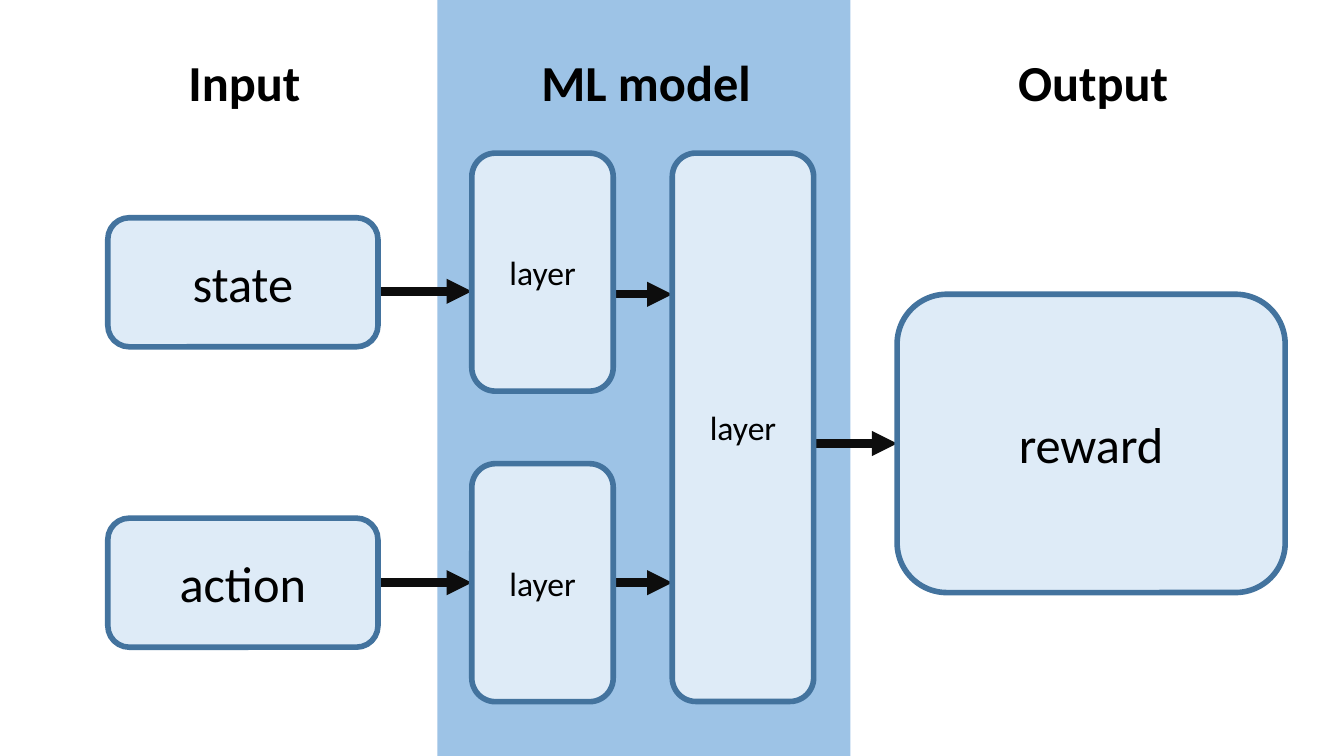
from dataclasses import dataclass
from lxml import etree
from pptx import Presentation
from pptx.dml.color import RGBColor
from pptx.enum.shapes import MSO_CONNECTOR, MSO_SHAPE
from pptx.enum.text import MSO_ANCHOR, PP_ALIGN
from pptx.oxml.ns import qn
from pptx.util import Pt

RECT, ROUNDED = MSO_SHAPE.RECTANGLE, MSO_SHAPE.ROUNDED_RECTANGLE
STRAIGHT = MSO_CONNECTOR.STRAIGHT
CENTER, MIDDLE = PP_ALIGN.CENTER, MSO_ANCHOR.MIDDLE


@dataclass(frozen=True)
class Theme:
    font: str = "Calibri"
    text: RGBColor = RGBColor(0, 0, 0)
    band: RGBColor = RGBColor(0x9D, 0xC3, 0xE6)
    node: RGBColor = RGBColor(0xDE, 0xEB, 0xF7)
    border: RGBColor = RGBColor(0x43, 0x73, 0x9E)
    arrow: RGBColor = RGBColor(0x0D, 0x0D, 0x0D)
    large: int = 36
    small: int = 24
    border_width: int = 4
    arrow_width: int = 6


theme = Theme()
SLIDE_WIDTH, SLIDE_HEIGHT = 960, 540
BAND_LEFT, BAND_WIDTH = 312.5, 295
HEADING_TOP, HEADING_HEIGHT = 32.4, 51.1
ARROW_LENGTH = 69

headings = [("Input", 174.6, 95.8), ("Output", 780.8, 123.1), ("ML model", 461.5, 165.6)]

columns = {
    "merged": dict(left=480.2, width=101, height=391.7, size=theme.small,
                   nodes=[("layer", 109.4)], arrows=[416.2, 210.2]),
    "output": dict(left=640.8, width=277.2, height=213.1, size=theme.large,
                   nodes=[("reward", 210.2)], arrows=[316.8]),
    "branches": dict(left=337, width=101, height=170, size=theme.small,
                     nodes=[("layer", 109.4), ("layer", 331.2)], arrows=[208.1, 416.2]),
    "inputs": dict(left=77, width=193, height=92.2, size=theme.large,
                   nodes=[("state", 155.5), ("action", 370.1)], arrows=[]),
}


def write(frame, words, size, bold=False):
    frame.vertical_anchor = MIDDLE
    paragraph = frame.paragraphs[0]
    paragraph.text = words
    paragraph.alignment = CENTER
    font = paragraph.font
    font.name, font.size, font.bold = theme.font, Pt(size), bold
    font.color.rgb = theme.text


def add_block(kind, left, top, width, height, fill):
    block = slide.shapes.add_shape(kind, Pt(left), Pt(top), Pt(width), Pt(height))
    block.shadow.inherit = False
    block.fill.solid()
    block.fill.fore_color.rgb = fill
    return block


def add_arrow(end, y):
    arrow = slide.shapes.add_connector(STRAIGHT, Pt(end - ARROW_LENGTH), Pt(y), Pt(end), Pt(y))
    arrow.line.color.rgb = theme.arrow
    arrow.line.width = Pt(theme.arrow_width)
    etree.SubElement(arrow.line._get_or_add_ln(), qn("a:tailEnd"), type="triangle")
    etree.SubElement(arrow._element.spPr, qn("a:effectLst"))


presentation = Presentation()
presentation.slide_width, presentation.slide_height = Pt(SLIDE_WIDTH), Pt(SLIDE_HEIGHT)
slide = presentation.slides.add_slide(presentation.slide_layouts[6])

band = add_block(RECT, BAND_LEFT, 0, BAND_WIDTH, SLIDE_HEIGHT, theme.band)
band.line.fill.background()

for words, center, width in headings:
    heading = slide.shapes.add_textbox(
        Pt(center - width / 2), Pt(HEADING_TOP), Pt(width), Pt(HEADING_HEIGHT))
    heading.text_frame.word_wrap = False
    write(heading.text_frame, words, theme.large, bold=True)

for column in columns.values():
    for y in column["arrows"]:
        add_arrow(column["left"], y)

for column in columns.values():
    for words, top in column["nodes"]:
        node = add_block(ROUNDED, column["left"], top, column["width"], column["height"], theme.node)
        node.line.color.rgb = theme.border
        node.line.width = Pt(theme.border_width)
        write(node.text_frame, words, column["size"])

presentation.save("out.pptx")
